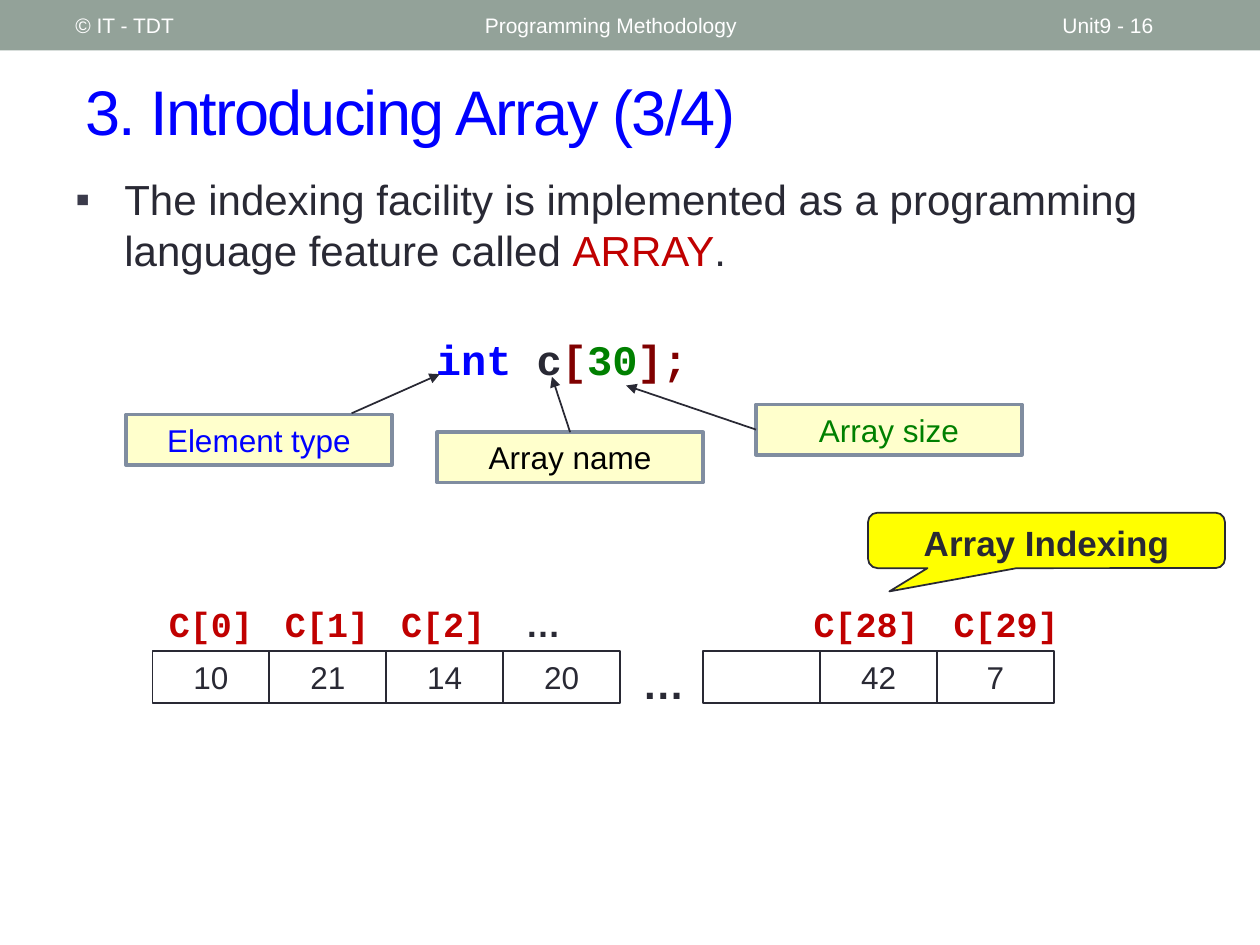
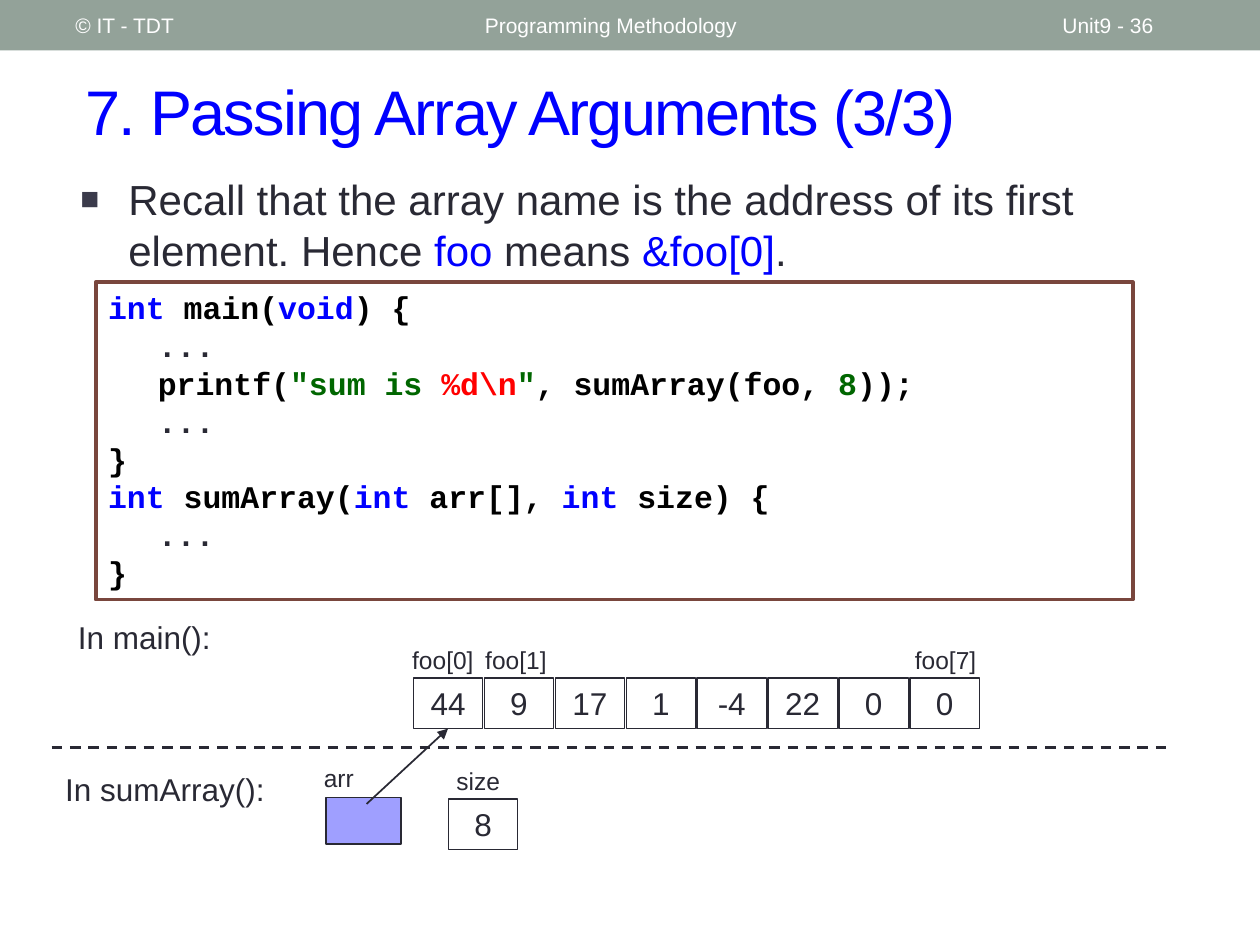
from lxml.etree import SubElement
from pptx import Presentation
from pptx.dml.color import RGBColor
from pptx.enum.dml import MSO_LINE
from pptx.enum.shapes import MSO_CONNECTOR, MSO_SHAPE
from pptx.enum.text import MSO_ANCHOR, PP_ALIGN
from pptx.oxml.ns import qn
from pptx.util import Pt

HUES = {
    "band": "93A299", "white": "FFFFFF", "black": "000000", "ink": "292934",
    "blue": "0000FF", "crimson": "C00000", "maroon": "800000",
    "green": "008000", "forest": "006600", "red": "FF0000",
    "cream": "FFFFCC", "slate": "808DA0", "yellow": "FFFF00",
    "brown": "79463D", "lilac": "9F9FFF", "bullet": "3B3B4B",
}
SANS, MONO = "Arial", "Courier New"
TOP, LEFT, BOTTOM = 0, 1, 2

# Slide content
HEAD = [("Programming Methodology", 270, 324), ("Unit9 - {}", 600, 84),
        ("© IT - TDT", 36, 228)]

INDEX = {
    "title": "3. Introducing Array (3/4)", "page": 16,
    "body": [("The indexing facility is implemented as a programming "
              "language feature called ", "ink"),
             ("ARRAY", "crimson"), (".", "ink")],
    "code": [("int ", "blue"), ("c", "ink"), ("[", "maroon"),
             ("30", "green"), ("];", "maroon")],
    # text, colour, left, top, joined side, arrow start, arrow end
    "notes": [
        ("Array name", "black", 249.8, 247, TOP, (325.4, 247), (315.4, 215.3)),
        ("Element type", "blue", 72, 236.9, None, (200.9, 236.2), (251.3, 213.8)),
        ("Array size", "green", 432, 231.1, LEFT, (432, 245.5), (357.8, 220.3)),
    ],
    "rows": [(87.1, ["10", "21", "14", "20"]), (401.8, ["", "42", "7"])],
    "tags": [("C[0]", 87.1, 66.8), ("C[1]", 153.5, 66.8), ("C[2]", 219.8, 66.8),
             ("C[28]", 455, 80), ("C[29]", 535, 80)],
    "call": "Array Indexing",
}

PASS = {
    "title": "7. Passing Array Arguments (3/3)", "page": 36,
    "body": [("Recall that the array name is the address of its first "
              "element. Hence ", "ink"), ("foo", "blue"), (" means ", "ink"),
             ("&foo[0]", "blue"), (".", "ink")],
    "code": [
        [("int", "blue"), (" main(", "black"), ("void", "blue"), (") {", "black")],
        [("\t...", "ink")],
        [("\tprintf(", "black"), ('"sum is ', "forest"), ("%d\\n", "red"),
         ('"', "forest"), (", sumArray(foo, ", "black"), ("8", "forest"),
         ("));", "black")],
        [("\t...", "ink")],
        [("}", "black")],
        [("int ", "blue"), ("sumArray(", "black"), ("int ", "blue"),
         ("arr[], ", "black"), ("int", "blue"), (" size) {", "black")],
        [("\t...", "ink")],
        [("}", "black")],
    ],
    "foo": ["44", "9", "17", "1", "-4", "22", "0", "0"],
    # text, left, top, width
    "tags": [("foo[0]", 226.8, 365, 52.6), ("foo[1]", 270, 365, 49.7),
             ("foo[7]", 511.9, 365, 56.9), ("arr", 174.2, 432.7, 38.9),
             ("size", 247, 434.2, 52.6)],
    "scopes": [("In main():", 37.4, 349.9), ("In sumArray():", 30.2, 436.3)],
    "size": "8",
}


def color(name):
    return RGBColor.from_string(HUES[name])


def write(shape, paras, size, hue="ink", face=SANS, bold=False,
          align=PP_ALIGN.LEFT, anchor=MSO_ANCHOR.TOP, prep=None):
    """Fill a shape with paragraphs; each is a string or (text, colour) runs."""
    frame = shape.text_frame
    frame.word_wrap = True
    frame.vertical_anchor = anchor
    for i, runs in enumerate(paras):
        para = frame.add_paragraph() if i else frame.paragraphs[0]
        para.alignment = align
        if prep:
            prep(para._p.get_or_add_pPr())
        if isinstance(runs, str):
            runs = [(runs, hue)]
        font = para.font
        font.name, font.size, font.bold = face, Pt(size), bold
        if len(runs) == 1:
            font.color.rgb = color(runs[0][1])
        for text, tint in runs:
            run = para.add_run()
            run.text = text
            if len(runs) > 1:
                run.font.color.rgb = color(tint)
    return shape


def label(slide, area, text, size, **style):
    box = slide.shapes.add_textbox(*map(Pt, area))
    return write(box, [text], size, **style)


def block(slide, area, fill=None, line=None, width=1, kind=MSO_SHAPE.RECTANGLE):
    shape = slide.shapes.add_shape(kind, *map(Pt, area))
    shape.shadow.inherit = False
    if fill:
        shape.fill.solid()
        shape.fill.fore_color.rgb = color(fill)
    else:
        shape.fill.background()
    if line:
        shape.line.color.rgb = color(line)
        shape.line.width = Pt(width)
    else:
        shape.line.fill.background()
    return shape


def cells(slide, texts, left, top, step, wide, high, fill, width):
    """Draw array elements side by side and return their shapes."""
    row = []
    for i, text in enumerate(texts):
        cell = block(slide, (left + i * step, top, wide, high), fill, "ink", width)
        if text:
            write(cell, [text], 18, align=PP_ALIGN.CENTER)
        row.append(cell)
    return row


def wire(slide, start, end, width=1, arrow=True):
    line = slide.shapes.add_connector(MSO_CONNECTOR.STRAIGHT,
                                      *map(Pt, (*start, *end)))
    line.line.color.rgb = color("ink")
    line.line.width = Pt(width)
    if arrow:
        SubElement(line.line._get_or_add_ln(), qn("a:tailEnd"), type="triangle")
    SubElement(line._element.spPr, qn("a:effectLst"))
    return line


def bullet(char, indent, scale=100):
    def prep(props):
        props.set("marL", str(Pt(indent)))
        props.set("indent", str(-Pt(indent)))
        tint = SubElement(props, qn("a:buClr"))
        SubElement(tint, qn("a:srgbClr"), val=HUES["bullet"])
        SubElement(props, qn("a:buSzPct"), val=str(scale * 1000))
        SubElement(props, qn("a:buFont"), typeface=SANS)
        SubElement(props, qn("a:buChar"), char=char)
    return prep


def tabs(props):
    stops = SubElement(props, qn("a:tabLst"))
    for n in (1, 2):
        SubElement(stops, qn("a:tab"), pos=str(Pt(28.4 * n)), algn="l")


def start(deck, data):
    """Add a slide with the header band, its texts and the title."""
    slide = deck.slides.add_slide(deck.slide_layouts[6])
    block(slide, (0, 0, 720, 28.8), "band")
    title = label(slide, (41.8, 30.2, 660, 66.2), data["title"], 36,
                  hue="blue", anchor=MSO_ANCHOR.MIDDLE)
    run = title.text_frame.paragraphs[0].runs[0]
    run._r.get_or_add_rPr().set("spc", "-100")
    for text, left, wide in HEAD:
        label(slide, (left, 1.4, wide, 26), text.format(data["page"]), 12,
              hue="white", anchor=MSO_ANCHOR.MIDDLE)
    return slide


def draw_index(deck):
    slide = start(deck, INDEX)
    mid = PP_ALIGN.CENTER
    label(slide, (36, 95.8, 630.7, 80), INDEX["body"], 24, prep=bullet("▪", 28))
    label(slide, (227.5, 187.2, 187.2, 36.7), INDEX["code"], 24,
          face=MONO, bold=True, align=mid)
    for text, hue, left, top, side, tail, tip in INDEX["notes"]:
        note = block(slide, (left, top, 152, 28.8), "cream", "slate", 2.08)
        write(note, [text], 18, hue, align=mid)
        line = wire(slide, tail, tip)
        if side is not None:
            line.begin_connect(note, side)
    for left, texts in INDEX["rows"]:
        cells(slide, texts, left, 372.2, 66.8, 66.8, 29.5, None, 1)
    for text, left, wide in INDEX["tags"]:
        label(slide, (left, 340.6, wide, 31.7), text, 20, hue="crimson",
              face=MONO, bold=True, align=mid)
    label(slide, (290.9, 340.6, 38.9, 31.7), "…", 20, bold=True, align=mid)
    label(slide, (357.8, 372.2, 42.5, 28), "…", 24, bold=True, align=mid)
    call = block(slide, (496, 293, 204, 31.7), "yellow", "ink",
                 kind=MSO_SHAPE.ROUNDED_RECTANGULAR_CALLOUT)
    for i, value in enumerate((-0.44, 0.92, 0.17)):
        call.adjustments[i] = value
    write(call, [INDEX["call"]], 20, bold=True, align=mid)


def draw_pass(deck):
    slide = start(deck, PASS)
    mid = PP_ALIGN.CENTER
    label(slide, (38.9, 95.8, 640, 65.5), PASS["body"], 24,
          prep=bullet("■", 27.4, 75))
    code = block(slide, (54.7, 161.3, 592.6, 181.4), "white", "brown", 2.08)
    write(code, PASS["code"], 18, face=MONO, bold=True, prep=tabs)
    for text, left, top, wide in PASS["tags"]:
        label(slide, (left, top, wide, 24.5), text, 14, align=mid)
    style = (40.54, 39.6, 29, "white", 0.75)
    foo = cells(slide, PASS["foo"], 236.2, 387.4, *style)
    for text, left, top in PASS["scopes"]:
        label(slide, (left, top, 134, 28.8), text, 18)
    block(slide, (186.5, 455.8, 42.5, 26.6), "lilac", "ink")
    line = wire(slide, (209.5, 459.4), (256, 416.4))
    line.end_connect(foo[0], BOTTOM)
    cells(slide, [PASS["size"]], 256.3, 456.5, *style)
    split = wire(slide, (29.5, 427), (667.4, 427), 1.5, arrow=False)
    split.line.dash_style = MSO_LINE.DASH


def main():
    deck = Presentation()
    deck.slide_width, deck.slide_height = Pt(720), Pt(540)
    draw_index(deck)
    draw_pass(deck)
    deck.save("out.pptx")


if __name__ == "__main__":
    main()
